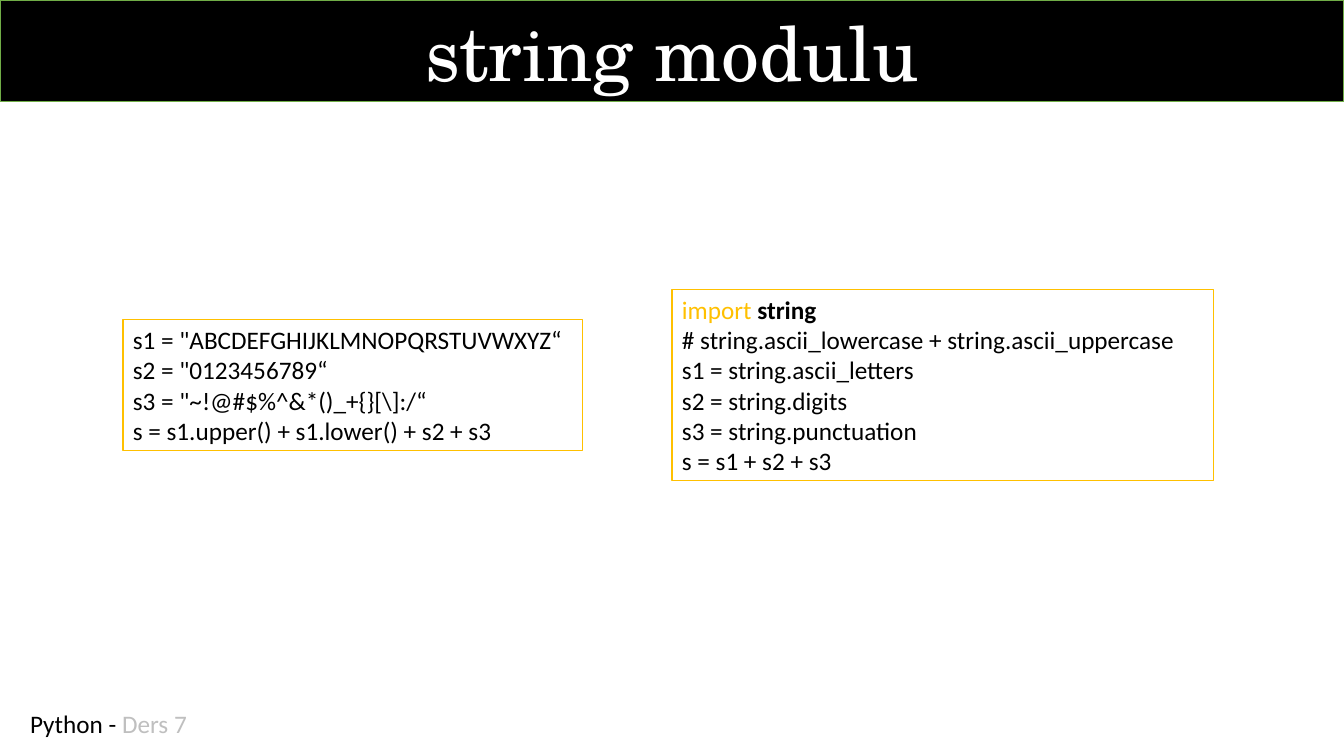
"""Build the slide that compares hand-typed characters with the string module."""
from dataclasses import dataclass

from pptx import Presentation
from pptx.dml.color import RGBColor
from pptx.enum.text import MSO_ANCHOR, MSO_AUTO_SIZE, PP_ALIGN
from pptx.util import Inches, Pt

BLACK = RGBColor(0x00, 0x00, 0x00)
WHITE = RGBColor(0xFF, 0xFF, 0xFF)
GREEN = RGBColor(0x70, 0xAD, 0x47)
AMBER = RGBColor(0xFF, 0xC0, 0x00)
GRAY = RGBColor(0xBF, 0xBF, 0xBF)
CENTER = PP_ALIGN.CENTER
MIDDLE = MSO_ANCHOR.MIDDLE
NO_AUTOFIT = MSO_AUTO_SIZE.NONE
BODY_FONT, TITLE_FONT = "Calibri", "TeX Gyre Schola"
SLIDE_W, SLIDE_H = Inches(13.33), Inches(7.5)
TITLE_H = Inches(1.01)
BOX_MIDDLE = Inches(3.82)
LINE_H, PADDING = Inches(0.3), Inches(0.1)


@dataclass(frozen=True)
class Span:
    text: str
    color: RGBColor = BLACK
    bold: bool = False


@dataclass(frozen=True)
class TextBox:
    left: float
    width: float
    middle: int
    lines: tuple[tuple[Span, ...], ...]
    outline: RGBColor | None = None


def plain(code: str) -> tuple[tuple[Span, ...], ...]:
    return tuple((Span(line),) for line in code.splitlines())


TYPED_CODE = r'''s1 = "ABCDEFGHIJKLMNOPQRSTUVWXYZ“
s2 = "0123456789“
s3 = "~!@#$%^&*()_+{}[\]:/“
s = s1.upper() + s1.lower() + s2 + s3'''

MODULE_CODE = """# string.ascii_lowercase + string.ascii_uppercase
s1 = string.ascii_letters
s2 = string.digits
s3 = string.punctuation
s = s1 + s2 + s3"""

IMPORT_LINE = (Span("import ", AMBER), Span("string", bold=True))
FOOTER_LINE = (Span("Python - "), Span("Ders 7", GRAY))

BOXES = (
    TextBox(0.015, 0.139, Inches(7.18), (FOOTER_LINE,)),
    TextBox(0.0915, 0.342, BOX_MIDDLE, plain(TYPED_CODE), AMBER),
    TextBox(0.5, 0.403, BOX_MIDDLE, (IMPORT_LINE, *plain(MODULE_CODE)), AMBER),
)


def add_title(slide, text: str) -> None:
    sp = slide.shapes.title
    sp.left, sp.top, sp.width, sp.height = 0, 0, SLIDE_W, TITLE_H
    sp.fill.solid()
    sp.fill.fore_color.rgb = BLACK
    sp.line.color.rgb = GREEN
    sp.line.width = Pt(1)
    tf = sp.text_frame
    tf.text = text
    tf.auto_size = NO_AUTOFIT
    tf.vertical_anchor = MIDDLE
    p = tf.paragraphs[0]
    p.alignment = CENTER
    font = p.runs[0].font
    font.name, font.size, font.color.rgb = TITLE_FONT, Pt(54), WHITE


def add_text_box(slide, box: TextBox) -> None:
    height = LINE_H * len(box.lines) + PADDING
    sp = slide.shapes.add_textbox(
        round(box.left * SLIDE_W), box.middle - height // 2,
        round(box.width * SLIDE_W), height)
    if box.outline is not None:
        sp.fill.solid()
        sp.fill.fore_color.rgb = WHITE
        sp.line.color.rgb = box.outline
        sp.line.width = Pt(1)
    tf = sp.text_frame
    tf.word_wrap = True
    for i, line in enumerate(box.lines):
        p = tf.add_paragraph() if i else tf.paragraphs[0]
        for span in line:
            r = p.add_run()
            r.text = span.text
            r.font.name, r.font.size = BODY_FONT, Pt(18)
            r.font.bold = span.bold
            r.font.color.rgb = span.color


def main() -> None:
    prs = Presentation()
    prs.slide_width, prs.slide_height = SLIDE_W, SLIDE_H
    slide = prs.slides.add_slide(prs.slide_layouts[5])
    add_title(slide, "string modulu")
    for box in BOXES:
        add_text_box(slide, box)
    prs.save("out.pptx")


if __name__ == "__main__":
    main()
